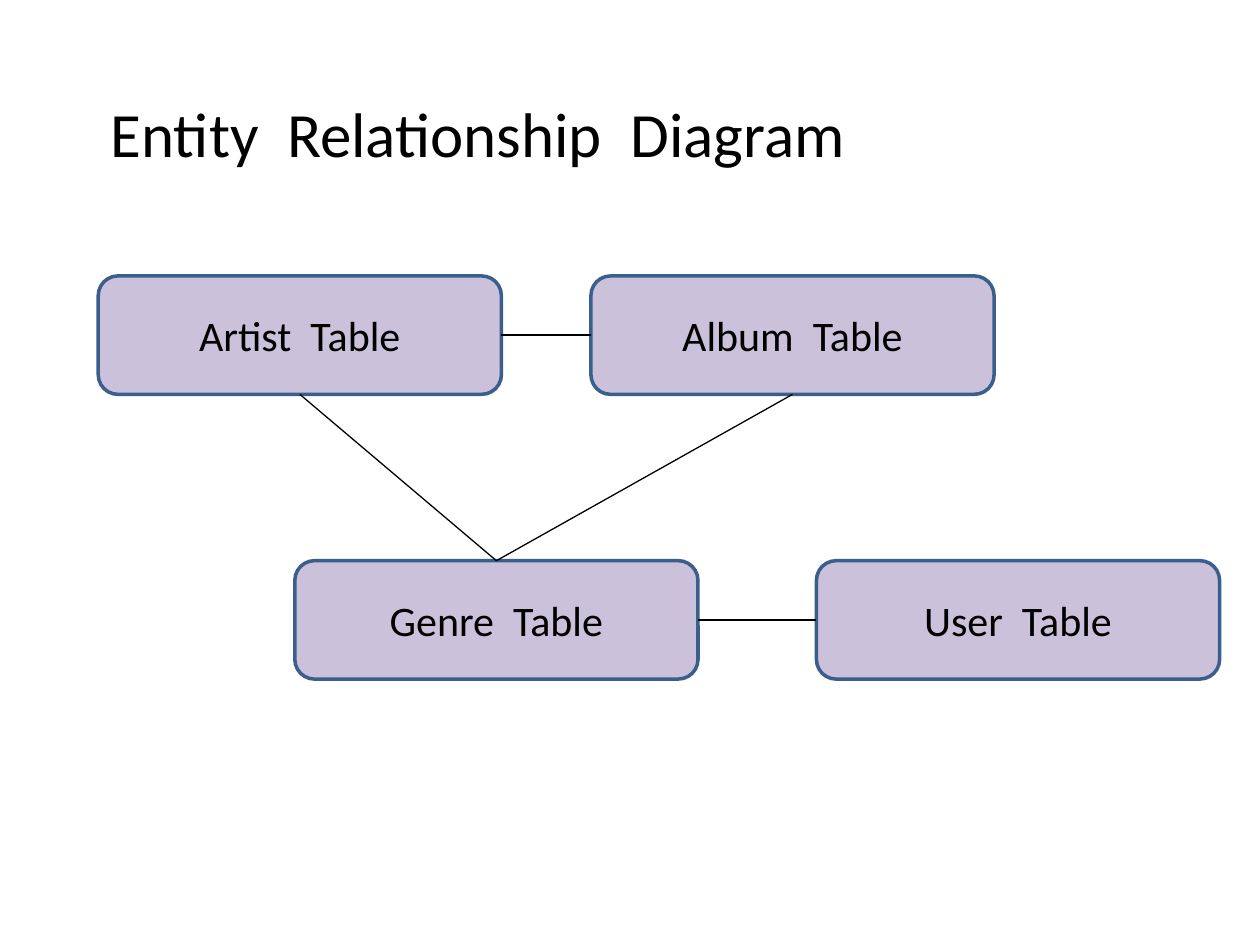
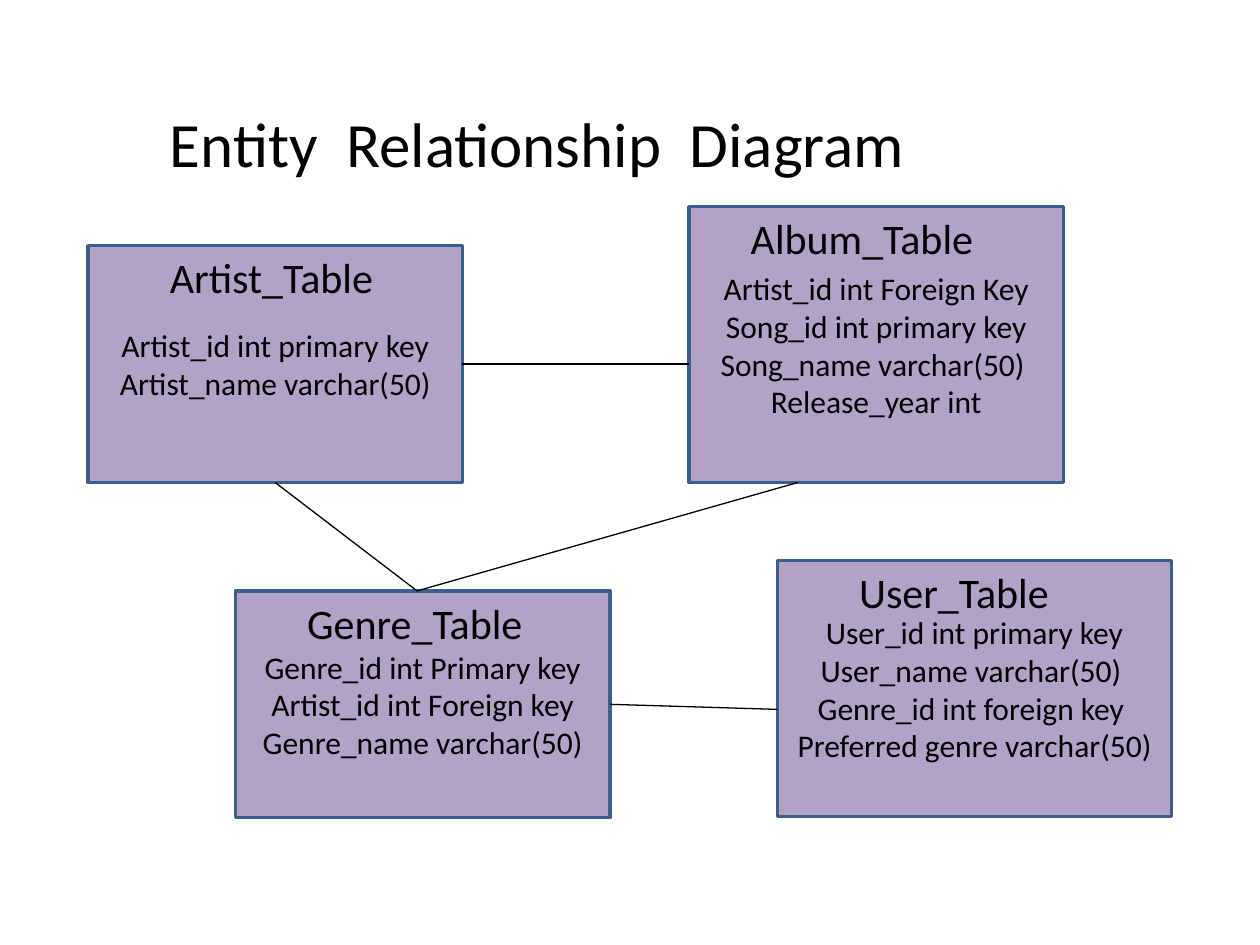
"""Build two entity relationship slides for a music database."""
from lxml.etree import SubElement as Sub
from pptx import Presentation
from pptx.dml.color import RGBColor as Rgb
from pptx.enum.shapes import MSO_CONNECTOR as Link, MSO_SHAPE as Kind
from pptx.enum.text import MSO_ANCHOR as Anchor, MSO_AUTO_SIZE as Fit, PP_ALIGN as Align
from pptx.oxml.ns import qn
from pptx.util import Inches, Pt

HUES = {"ink": "000000", "edge": "3A5F8C", "pale": "CCC1DA", "deep": "B3A2C7"}
FONT = "Calibri"
TITLE = "Entity  Relationship  Diagram"
TOP, LEFT, BASE, RIGHT = range(4)


def hue(name):
    """Return a named colour."""
    return Rgb.from_string(HUES[name])


def style(frame, size, align):
    """Format every run of a text frame."""
    for para in frame.paragraphs:
        para.alignment = align
        for run in para.runs:
            run.font.name = FONT
            run.font.size = Pt(size)
            run.font.color.rgb = hue("ink")


def label(slide, text, spot, size):
    """Add left-aligned text that does not wrap."""
    frame = slide.shapes.add_textbox(*map(Inches, spot)).text_frame
    frame.word_wrap = False
    frame.auto_size = Fit.SHAPE_TO_FIT_TEXT
    frame.text = text
    style(frame, size, Align.LEFT)


def box(slide, kind, fill, text, spot, size):
    """Add a filled box with centred text and return it."""
    shape = slide.shapes.add_shape(kind, *map(Inches, spot))
    shape.shadow.inherit = False
    shape.fill.solid()
    shape.fill.fore_color.rgb = hue(fill)
    shape.line.color.rgb = hue("edge")
    shape.line.width = Pt(2)
    frame = shape.text_frame
    frame.word_wrap = True
    frame.vertical_anchor = Anchor.MIDDLE
    frame.text = text
    style(frame, size, Align.CENTER)
    return shape


def join(slide, start, end):
    """Draw a line between two ends, each a box with its side or a point."""
    line = slide.shapes.add_connector(Link.STRAIGHT, 0, 0, 0, 0)
    (a, b), (c, d) = start, end
    if hasattr(a, "shape_id"):
        line.begin_connect(a, b)
    else:
        line.begin_x, line.begin_y = Inches(a), Inches(b)
    if hasattr(c, "shape_id"):
        line.end_connect(c, d)
    else:
        line.end_x, line.end_y = Inches(c), Inches(d)
    line.line.color.rgb = hue("ink")
    line.line.width = Pt(0.75)
    Sub(line._element.spPr, qn("a:effectLst"))


def outline(slide):
    """Draw the four tables by name."""
    label(slide, TITLE, (0.78, 0.7, 6.09, 0.71), 36)
    spots = {"User": (6.48, 4.45), "Genre": (2.34, 4.45),
             "Artist": (0.78, 2.19), "Album": (4.69, 2.19)}
    user, genre, artist, album = [
        box(slide, Kind.ROUNDED_RECTANGLE, "pale", f"{name}  Table", (*spot, 3.2, 0.94), 24)
        for name, spot in spots.items()]
    join(slide, (artist, RIGHT), (album, LEFT))
    join(slide, (artist, BASE), (genre, TOP))
    join(slide, (genre, TOP), (album, BASE))
    join(slide, (genre, RIGHT), (user, LEFT))


def detail(slide):
    """Draw the four tables with their columns."""
    label(slide, TITLE, (1.25, 0.78, 6.09, 0.71), 36)
    tables = [
        ("Artist", (0.7, 1.95, 2.97, 1.88), 1.25, 1.83,
         ["Artist_id int primary key", "Artist_name varchar(50)"]),
        ("Album", (5.47, 1.64, 2.97, 2.19), 5.86, 1.99,
         ["Artist_id int Foreign Key", "Song_id int primary key",
          "Song_name varchar(50) ", "Release_year int"]),
        ("User", (6.17, 4.45, 3.13, 2.03), 6.72, 1.73,
         ["User_id int primary key", "User_name varchar(50) ",
          "Genre_id int foreign key ", "Preferred genre varchar(50)"]),
        ("Genre", (1.87, 4.69, 2.97, 1.8), 2.34, 1.93,
         ["Genre_id int Primary key", "Artist_id int Foreign key",
          "Genre_name varchar(50)"]),
    ]
    artist, album, user, genre = [
        box(slide, Kind.RECTANGLE, "deep", "\n".join(rows), spot, 18)
        for _, spot, _, _, rows in tables]
    for name, spot, left, width, _ in tables:
        label(slide, f"{name}_Table", (left, spot[1], width, 0.5), 24)
    peak = (3.31, 4.69)
    join(slide, (artist, RIGHT), (5.47, 2.89))
    join(slide, (artist, BASE), peak)
    join(slide, peak, (6.33, 3.83))
    join(slide, (genre, RIGHT), (6.17, 5.63))


def main():
    """Build and save the deck."""
    deck = Presentation()
    deck.slide_width, deck.slide_height = Inches(10), Inches(7.5)
    for draw in (outline, detail):
        draw(deck.slides.add_slide(deck.slide_layouts[6]))
    deck.save("out.pptx")


main()
